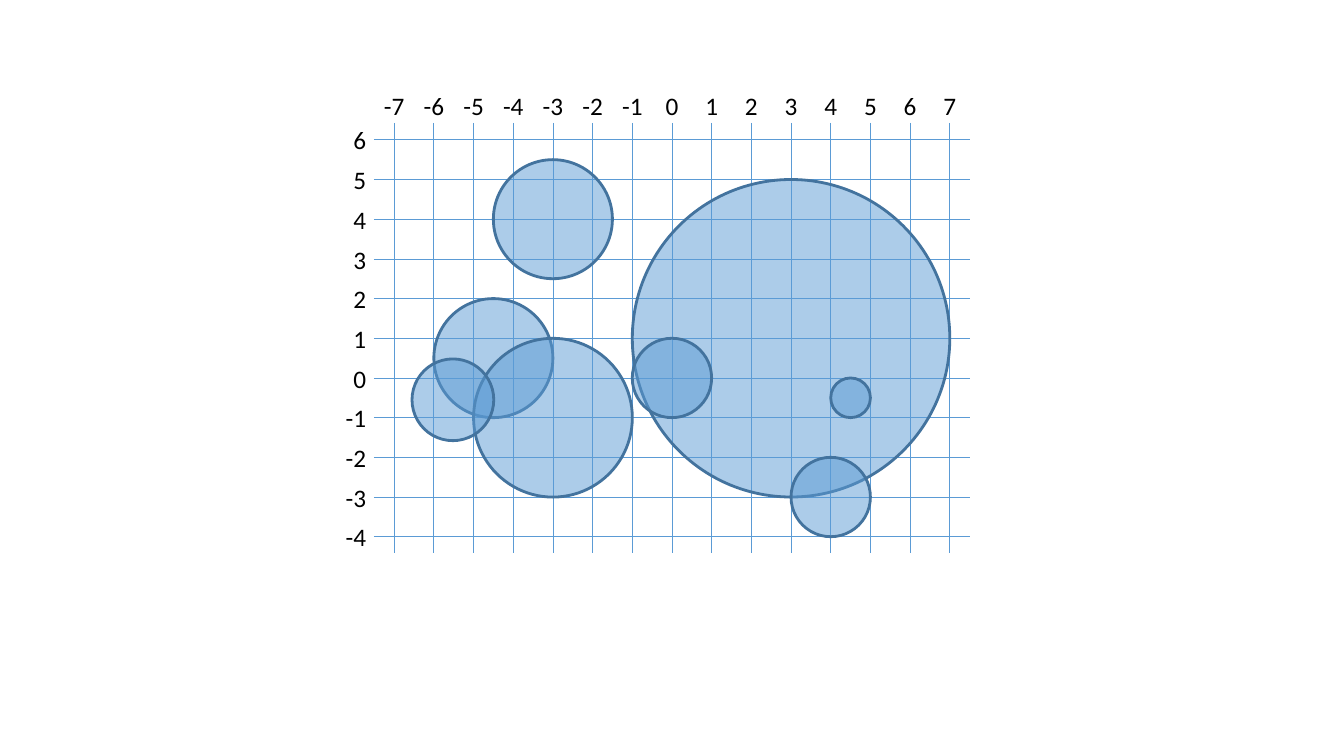
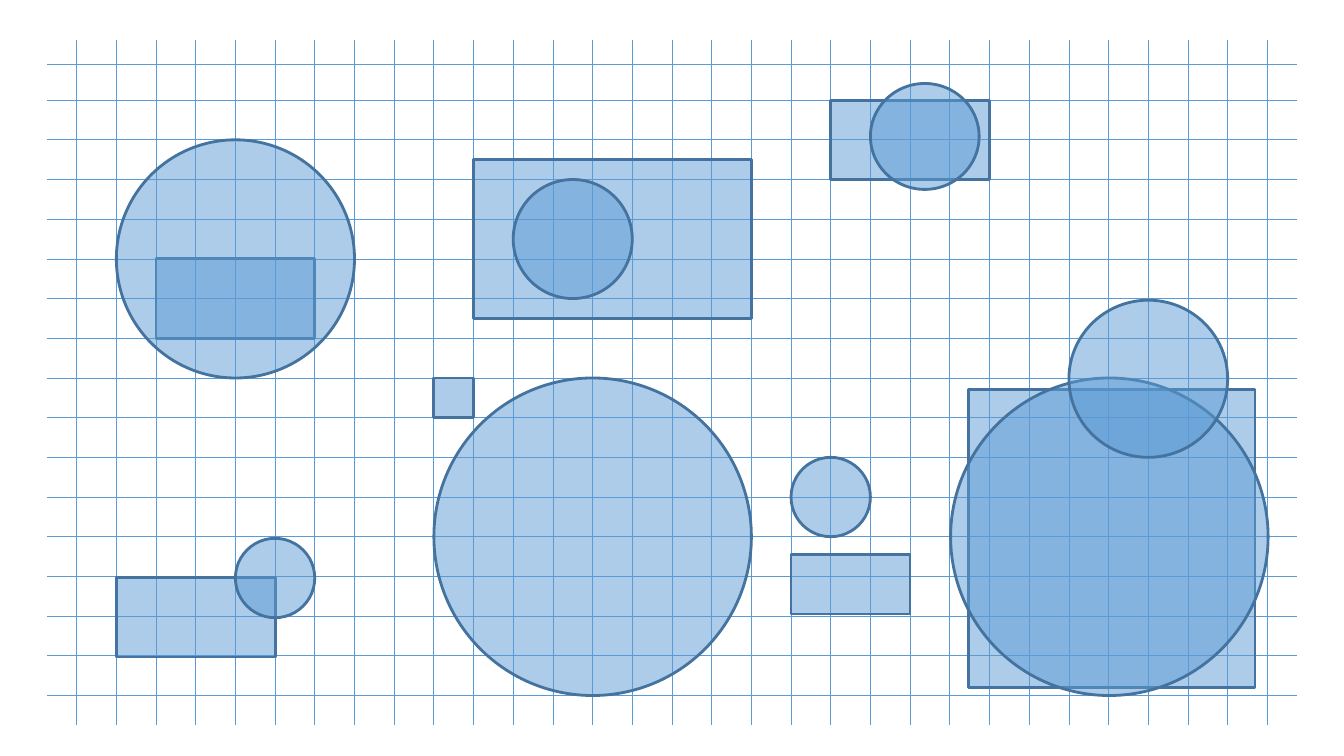
from lxml import etree
from pptx import Presentation
from pptx.dml.color import RGBColor
from pptx.enum.shapes import MSO_CONNECTOR, MSO_SHAPE
from pptx.enum.text import MSO_AUTO_SIZE, PP_ALIGN
from pptx.oxml.ns import qn
from pptx.util import Emu, Pt

STRAIGHT = MSO_CONNECTOR.STRAIGHT
CIRCLE, RECTANGLE = MSO_SHAPE.OVAL, MSO_SHAPE.RECTANGLE
CENTER, RIGHT = PP_ALIGN.CENTER, PP_ALIGN.RIGHT
FIT = MSO_AUTO_SIZE.SHAPE_TO_FIT_TEXT

COLORS = {"grid": "5B9BD5", "figure": "5B9BD5", "outline": "43739E", "label": "000000"}
FONT = "Calibri"
EMU_PER_PIXEL = 914400 / 100.8
SLIDE_SIZE = (1344, 756)
ORIGIN_X, ORIGIN_Y = 672, 378
CELL = 39.69

CIRCLES = [
    (-4.5, 0.5, 1.5),
    (-3, -1, 2),
    (3, 1, 4),
    (0, 0, 1),
    (4, -3, 1),
    (-3, 4, 1.5),
    (4.5, -0.5, 0.5),
    (-5.52, -0.55, 1.03),
]

FIGURES = [
    (RECTANGLE, 7.48, -0.28, 7.21, 7.52),
    (CIRCLE, -6, 0, 8, 8),
    (CIRCLE, 3, -2, 2, 2),
    (RECTANGLE, -5, 5.5, 7, 4),
    (RECTANGLE, 3, -4.45, 3, 1.5),
    (RECTANGLE, 4, 7, 4, 2),
    (CIRCLE, -4, 5, 3, 3),
    (CIRCLE, 5, 7.42, 2.74, 2.67),
    (RECTANGLE, -14, -5.03, 4, 2),
    (CIRCLE, -11, -4.04, 2, 2),
    (RECTANGLE, -13, 3, 4, 2),
    (CIRCLE, -14, 6, 6, 6),
    (RECTANGLE, -6, 0, 1, 1),
    (CIRCLE, 7.02, 0, 8, 8),
    (CIRCLE, 10, 1.96, 4, 3.96),
]


def px(length):
    """Turn pixels into EMU."""
    return Emu(round(length * EMU_PER_PIXEL))


def color(name):
    """Look up a named colour."""
    return RGBColor.from_string(COLORS[name])


def column_x(column):
    """Return the pixel position of a grid column."""
    return ORIGIN_X + column * CELL


def row_y(row):
    """Return the pixel position of a grid row, counted upwards."""
    return ORIGIN_Y - row * CELL


def add_grid_line(parent, x1, y1, x2, y2):
    """Draw one thin grid line."""
    line = parent.shapes.add_connector(STRAIGHT, px(x1), px(y1), px(x2), px(y2))
    line.line.color.rgb = color("grid")
    line.line.width = Pt(0.5)
    etree.SubElement(line._element.spPr, qn("a:effectLst"))


def add_grid(slide, box, columns, row_positions):
    """Draw grouped grid lines across the given box."""
    left, top, right, bottom = box
    horizontals = slide.shapes.add_group_shape()
    for y in row_positions:
        add_grid_line(horizontals, left, y, right, y)
    verticals = slide.shapes.add_group_shape()
    for column in columns:
        x = column_x(column)
        add_grid_line(verticals, x, top, x, bottom)


def add_figure(slide, kind, column, row, width, height):
    """Draw a half-transparent figure from its top left grid point."""
    figure = slide.shapes.add_shape(
        kind, px(column_x(column)), px(row_y(row)), px(width * CELL), px(height * CELL)
    )
    figure.shadow.inherit = False
    figure.fill.solid()
    figure.fill.fore_color.rgb = color("figure")
    fill_color = figure._element.spPr.find(qn("a:solidFill"))[0]
    etree.SubElement(fill_color, qn("a:alpha"), val="50000")
    figure.line.color.rgb = color("outline")
    figure.line.width = Pt(2)


def add_label(slide, number, left, top, width, alignment):
    """Write one axis number."""
    label = slide.shapes.add_textbox(px(left), px(top), px(width), px(40))
    frame = label.text_frame
    frame.text = str(number)
    frame.word_wrap = False
    frame.auto_size = FIT
    paragraph = frame.paragraphs[0]
    paragraph.alignment = alignment
    font = paragraph.runs[0].font
    font.name = FONT
    font.size = Pt(18)
    font.color.rgb = color("label")


def add_axis_labels(slide, columns, rows, top, right):
    """Number the columns above the grid and the rows left of it."""
    for column in columns:
        width = 41 if column < 0 else 33
        add_label(slide, column, column_x(column) - width / 2, top, width, CENTER)
    for row in rows:
        width = 41 if row < 0 else 33
        add_label(slide, row, right - width, row_y(row) - 20, width, RIGHT)


def build_circle_plane(slide):
    """Build the numbered plane with circles."""
    columns, rows = range(-7, 8), range(-4, 7)
    add_grid(slide, (374, 123, 970, 553), columns, map(row_y, rows))
    for center_x, center_y, radius in CIRCLES:
        add_figure(
            slide, CIRCLE, center_x - radius, center_y + radius, 2 * radius, 2 * radius
        )
    add_axis_labels(slide, columns, rows, 85, 376)


def build_figure_plane(slide):
    """Build the wide plane with circles and rectangles."""
    row_positions = [64, *map(row_y, range(-8, 8))]
    add_grid(slide, (47, 40, 1297, 725), range(-15, 16), row_positions)
    for figure in FIGURES:
        add_figure(slide, *figure)


def main():
    """Build and save the presentation."""
    presentation = Presentation()
    presentation.slide_width, presentation.slide_height = map(px, SLIDE_SIZE)
    blank = presentation.slide_layouts[6]
    for build in (build_circle_plane, build_figure_plane):
        build(presentation.slides.add_slide(blank))
    presentation.save("out.pptx")


main()
